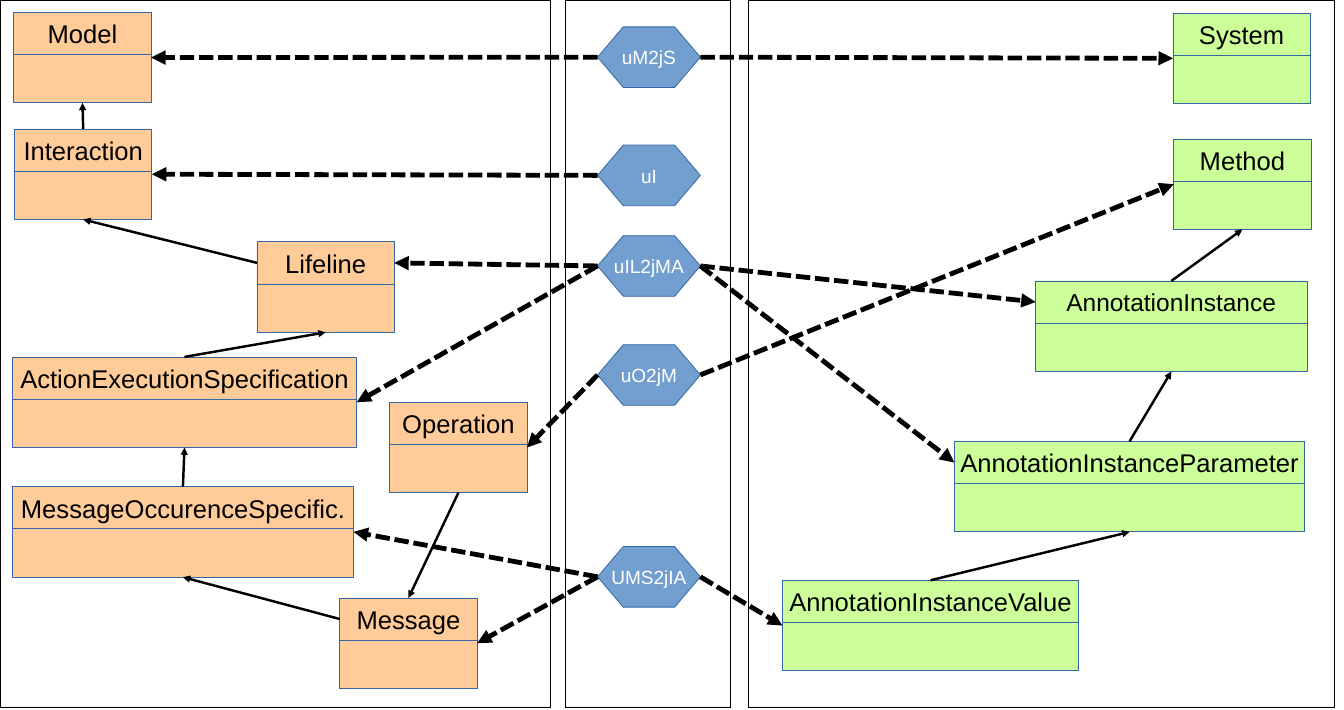
from lxml import etree
from pptx import Presentation
from pptx.dml.color import RGBColor
from pptx.enum.shapes import MSO_CONNECTOR, MSO_SHAPE
from pptx.enum.text import MSO_ANCHOR, PP_ALIGN
from pptx.oxml.ns import qn
from pptx.util import Inches, Pt

FRAME, RECTANGLE, HEXAGON = MSO_SHAPE.FRAME, MSO_SHAPE.RECTANGLE, MSO_SHAPE.HEXAGON
STRAIGHT = MSO_CONNECTOR.STRAIGHT
MIDDLE, CENTER = MSO_ANCHOR.MIDDLE, PP_ALIGN.CENTER
TOP, LEFT, BOTTOM, RIGHT = range(4)
HEADER, BODY = "header", "body"

SLIDE_WIDTH, SLIDE_HEIGHT = 17.52, 9.25
PANEL_HEIGHT = 9.21
CLASS_WIDTH, CLASS_HEIGHT, HEADER_HEIGHT = 1.79, 1.18, 0.55
RULE_LEFT, RULE_WIDTH, RULE_HEIGHT = 7.79, 1.34, 0.79
ORANGE, GREEN, BLUE = "FFCC99", "CCFF99", "729FCF"
OUTLINE, BLACK, WHITE = "3465A4", "000000", "FFFFFF"

PANELS = [(0, 7.17), (7.37, 2.15), (9.76, 7.64)]

UML_CLASSES = [
    ("Model", 0.18, 0.16, CLASS_WIDTH),
    ("Interaction", 0.19, 1.68, CLASS_WIDTH),
    ("Lifeline", 3.35, 3.15, CLASS_WIDTH),
    ("ActionExecutionSpecification", 0.16, 4.65, 4.49),
    ("Operation", 5.08, 5.24, CLASS_WIDTH),
    ("MessageOccurenceSpecific.", 0.16, 6.34, 4.45),
    ("Message", 4.43, 7.79, CLASS_WIDTH),
]
JAVA_CLASSES = [
    ("System", 15.29, 0.17, CLASS_WIDTH),
    ("Method", 15.3, 1.81, CLASS_WIDTH),
    ("AnnotationInstance", 13.5, 3.66, 3.54),
    ("AnnotationInstanceParameter", 12.44, 5.75, 4.57),
    ("AnnotationInstanceValue", 10.2, 7.56, 3.86),
]
RULES = [("uM2jS", 0.35), ("uI", 1.89), ("uIL2jMA", 3.07), ("uO2jM", 4.49), ("UMS2jIA", 7.12)]

PARENT_LINKS = [
    ("Interaction", HEADER, TOP, "Model"),
    ("Lifeline", HEADER, LEFT, "Interaction"),
    ("ActionExecutionSpecification", HEADER, TOP, "Lifeline"),
    ("MessageOccurenceSpecific.", HEADER, TOP, "ActionExecutionSpecification"),
    ("Message", HEADER, LEFT, "MessageOccurenceSpecific."),
    ("AnnotationInstance", HEADER, TOP, "Method"),
    ("AnnotationInstanceParameter", HEADER, TOP, "AnnotationInstance"),
    ("AnnotationInstanceValue", HEADER, TOP, "AnnotationInstanceParameter"),
]
RULE_LINKS = [
    ("uM2jS", "Model", BODY, RIGHT),
    ("uM2jS", "System", BODY, LEFT),
    ("uI", "Interaction", BODY, RIGHT),
    ("uIL2jMA", "Lifeline", HEADER, RIGHT),
    ("uIL2jMA", "ActionExecutionSpecification", BODY, RIGHT),
    ("uIL2jMA", "AnnotationInstance", HEADER, LEFT),
    ("uIL2jMA", "AnnotationInstanceParameter", HEADER, LEFT),
    ("uO2jM", "Operation", BODY, RIGHT),
    ("uO2jM", "Method", BODY, LEFT),
    ("UMS2jIA", "MessageOccurenceSpecific.", BODY, RIGHT),
    ("UMS2jIA", "Message", BODY, RIGHT),
    ("UMS2jIA", "AnnotationInstanceValue", BODY, LEFT),
]


def rgb(value):
    return RGBColor.from_string(value)


def add_block(slide, preset, box, fill, outline=OUTLINE):
    block = slide.shapes.add_shape(preset, *(Inches(length) for length in box))
    block.shadow.inherit = False
    block.fill.solid()
    block.fill.fore_color.rgb = rgb(fill)
    block.line.color.rgb = rgb(outline)
    block.line.width = Pt(0)
    return block


def write_label(block, label, size, color):
    frame = block.text_frame
    frame.text = label
    frame.word_wrap = False
    frame.vertical_anchor = MIDDLE
    paragraph = frame.paragraphs[0]
    paragraph.alignment = CENTER
    font = paragraph.runs[0].font
    font.name, font.size = "Arial", Pt(size)
    font.color.rgb = rgb(color)


def add_panel(slide, left, width):
    panel = add_block(slide, FRAME, (left, 0, width, PANEL_HEIGHT), BLUE, BLACK)
    panel.adjustments[0] = 0


def add_class(slide, name, left, top, width, fill):
    body = add_block(slide, RECTANGLE, (left, top, width, CLASS_HEIGHT), fill)
    header = add_block(slide, RECTANGLE, (left, top, width, HEADER_HEIGHT), fill)
    write_label(header, name, 23 if name == "AnnotationInstance" else 24, BLACK)
    return {HEADER: header, BODY: body}


def add_rule(slide, name, top):
    rule = add_block(slide, HEXAGON, (RULE_LEFT, top, RULE_WIDTH, RULE_HEIGHT), BLUE)
    rule.adjustments[0] = 0.425
    write_label(rule, name, 17.9, WHITE)
    return rule


def add_arrow(slide, width, dashed=False):
    arrow = slide.shapes.add_connector(STRAIGHT, 0, 0, 0, 0)
    arrow.line.color.rgb = rgb(BLACK)
    arrow.line.width = Pt(width)
    properties = arrow._element.spPr
    outline = properties.find(qn("a:ln"))
    if dashed:
        etree.SubElement(outline, qn("a:prstDash"), val="sysDash")
    etree.SubElement(outline, qn("a:tailEnd"), type="triangle")
    etree.SubElement(properties, qn("a:effectLst"))
    return arrow


def link_to_parent(slide, child, side, parent):
    arrow = add_arrow(slide, 2.3)
    arrow.begin_connect(child, side)
    arrow.end_connect(parent, BOTTOM)


def link_rule(slide, rule, target, side):
    arrow = add_arrow(slide, 4.51, dashed=True)
    arrow.begin_x = rule.left if side == RIGHT else rule.left + rule.width
    arrow.begin_y = rule.top + rule.height // 2
    arrow.end_connect(target, side)


def main():
    presentation = Presentation()
    presentation.slide_width = Inches(SLIDE_WIDTH)
    presentation.slide_height = Inches(SLIDE_HEIGHT)
    slide = presentation.slides.add_slide(presentation.slide_layouts[6])

    for left, width in PANELS:
        add_panel(slide, left, width)
    classes = {}
    for group, fill in ((UML_CLASSES, ORANGE), (JAVA_CLASSES, GREEN)):
        for name, left, top, width in group:
            classes[name] = add_class(slide, name, left, top, width, fill)
    rules = {name: add_rule(slide, name, top) for name, top in RULES}

    for child, part, side, parent in PARENT_LINKS:
        link_to_parent(slide, classes[child][part], side, classes[parent][BODY])
    operation, message = classes["Operation"][BODY], classes["Message"][HEADER]
    operation_link = add_arrow(slide, 2.3)
    operation_link.begin_connect(operation, BOTTOM)
    operation_link.end_connect(message, TOP)
    for rule, target, part, side in RULE_LINKS:
        link_rule(slide, rules[rule], classes[target][part], side)

    presentation.save("out.pptx")


main()
